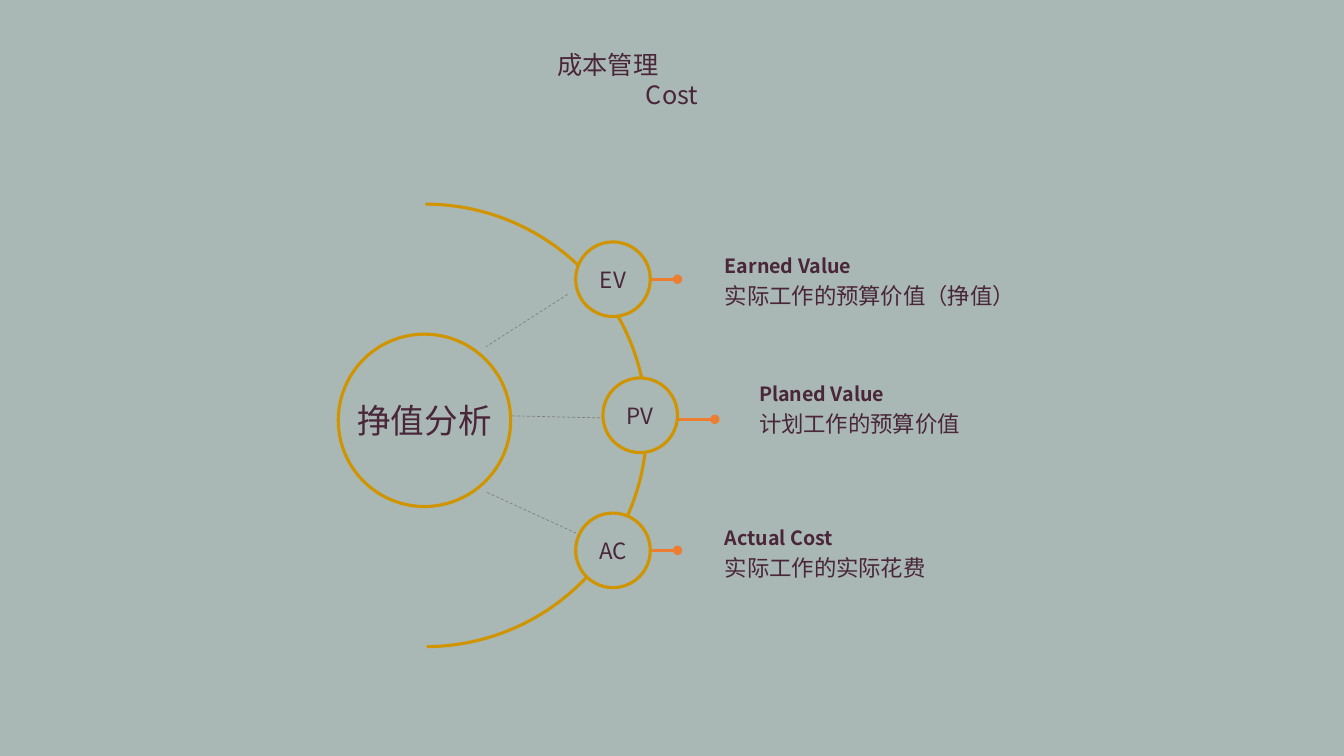
"""Build the earned value analysis slide of the cost management deck."""
from lxml import etree
from pptx import Presentation
from pptx.dml.color import RGBColor
from pptx.enum.dml import MSO_LINE
from pptx.enum.shapes import MSO_CONNECTOR, MSO_SHAPE
from pptx.enum.text import MSO_ANCHOR, MSO_AUTO_SIZE, PP_ALIGN
from pptx.oxml.ns import qn
from pptx.util import Inches, Pt

STRAIGHT = MSO_CONNECTOR.STRAIGHT
ARC, OVAL = MSO_SHAPE.ARC, MSO_SHAPE.OVAL
DASH = MSO_LINE.DASH
TOP, MIDDLE = MSO_ANCHOR.TOP, MSO_ANCHOR.MIDDLE
CENTER, JUSTIFY = PP_ALIGN.CENTER, PP_ALIGN.JUSTIFY
NO_AUTOFIT = MSO_AUTO_SIZE.NONE

COLORS = {"background": "A9B8B5", "text": "492638", "ring": "D09401",
          "pointer": "ED7D31", "spoke": "808080"}
FONT = "Noto Sans CJK SC"

TITLE = ("成本管理", "Cost")
TOPIC = "挣值分析"
MEASURES = [
    {"code": "EV", "name": "Earned Value", "meaning": "实际工作的预算价值（挣值）",
     "center": (6.08, 2.77), "pointer": (6.06, 6.72, 2.77), "label": (7.09, 2.47),
     "spoke": (5.63, 2.92, 4.82, 3.44)},
    {"code": "PV", "name": "Planed Value", "meaning": "计划工作的预算价值",
     "center": (6.35, 4.12), "pointer": (6.57, 7.09, 4.16), "label": (7.43, 3.74),
     "spoke": (6.15, 4.15, 4.82, 4.12)},
    {"code": "AC", "name": "Actual Cost", "meaning": "实际工作的实际花费",
     "center": (6.08, 5.46), "pointer": (6.17, 6.72, 5.46), "label": (7.09, 5.17),
     "spoke": (5.76, 5.31, 4.82, 4.88)},
]
HUB_CENTER, HUB_SIZE, NODE_SIZE = (4.21, 4.17), 1.71, 0.74
ORBIT_CENTER, ORBIT_SIZE = (4.22, 4.22), 4.39


def color(key):
    return RGBColor.from_string(COLORS[key])


def style_text(frame, size, bold=False):
    for paragraph in frame.paragraphs:
        for run in paragraph.runs:
            run.font.size, run.font.bold, run.font.name = Pt(size), bold, FONT
            run.font.color.rgb = color("text")
            latin = run.font._element.find(qn("a:latin"))
            east_asian = etree.Element(qn("a:ea"), typeface=FONT)
            latin.addnext(east_asian)


def add_line(slide, ends, key, width):
    line = slide.shapes.add_connector(STRAIGHT, *[Inches(v) for v in ends])
    line.line.color.rgb, line.line.width = color(key), Pt(width)
    etree.SubElement(line._element.spPr, qn("a:effectLst"))
    return line


def add_ring(slide, kind, center, size):
    left, top = (Inches(c - size / 2) for c in center)
    ring = slide.shapes.add_shape(kind, left, top, Inches(size), Inches(size))
    ring.shadow.inherit = False
    ring.line.color.rgb, ring.line.width = color("ring"), Pt(2.25)
    return ring


def add_circle(slide, text, center, size, font_size):
    circle = add_ring(slide, OVAL, center, size)
    circle.fill.solid()
    circle.fill.fore_color.rgb = color("background")
    frame = circle.text_frame
    frame.text, frame.word_wrap, frame.vertical_anchor = text, False, MIDDLE
    frame.paragraphs[0].alignment = CENTER
    style_text(frame, font_size)


def add_label(slide, text, box, size, bold=False):
    frame = slide.shapes.add_textbox(*[Inches(v) for v in box]).text_frame
    frame.text, frame.word_wrap = text, True
    style_text(frame, size, bold)


def add_title(slide):
    title = slide.shapes.title
    title.left, title.top = Inches(5.43), Inches(0.44)
    title.width, title.height = Inches(2.47), Inches(0.71)
    frame = title.text_frame
    frame.text = "\n".join(TITLE)
    frame.auto_size, frame.vertical_anchor = NO_AUTOFIT, TOP
    for paragraph, alignment in zip(frame.paragraphs, (JUSTIFY, CENTER)):
        paragraph.alignment = alignment
    style_text(frame, 18)


def main():
    deck = Presentation()
    deck.slide_width, deck.slide_height = Inches(13.33), Inches(7.5)
    slide = deck.slides.add_slide(deck.slide_layouts[5])
    slide.background.fill.solid()
    slide.background.fill.fore_color.rgb = color("background")
    add_title(slide)

    for measure in MEASURES:
        start, end, y = measure["pointer"]
        pointer = add_line(slide, (start, y, end, y), "pointer", 2.25)
        for tip in ("a:headEnd", "a:tailEnd"):
            etree.SubElement(pointer.line._get_or_add_ln(), qn(tip), type="oval")

    orbit = add_ring(slide, ARC, ORBIT_CENTER, ORBIT_SIZE)
    orbit.fill.background()
    orbit.adjustments[0], orbit.adjustments[1] = 161.97, 53.8

    for measure in MEASURES:
        add_line(slide, measure["spoke"], "spoke", 0.5).line.dash_style = DASH
        left, top = measure["label"]
        add_label(slide, measure["name"], (left, top, 1.85, 0.34), 14, True)
        add_label(slide, measure["meaning"], (left, top + 0.28, 5.46, 0.37), 16)
        add_circle(slide, measure["code"], measure["center"], NODE_SIZE, 16)
    add_circle(slide, TOPIC, HUB_CENTER, HUB_SIZE, 24)
    deck.save("out.pptx")


if __name__ == "__main__":
    main()
